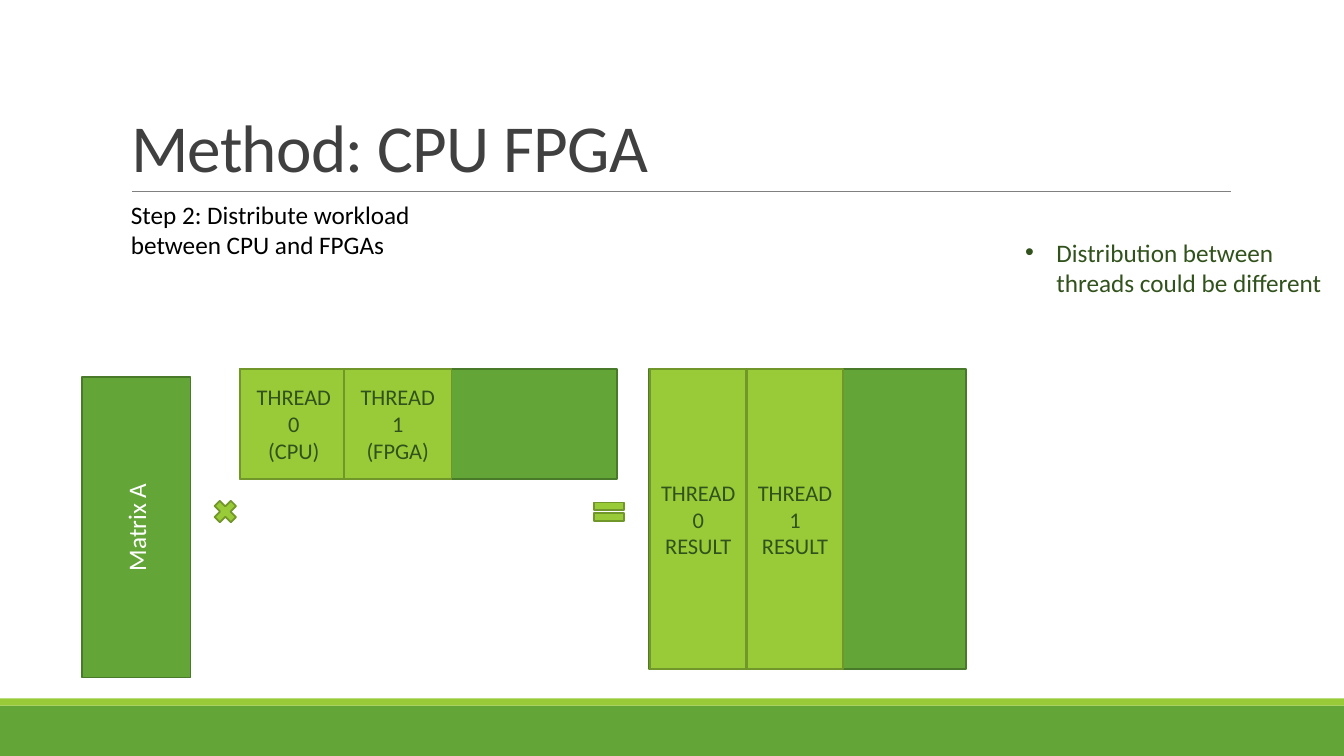
from dataclasses import dataclass

from lxml import etree
from pptx import Presentation
from pptx.dml.color import RGBColor
from pptx.enum.shapes import MSO_CONNECTOR, MSO_SHAPE
from pptx.enum.text import MSO_ANCHOR, MSO_AUTO_SIZE, PP_ALIGN
from pptx.oxml.ns import qn
from pptx.util import Inches, Pt

RECTANGLE = MSO_SHAPE.RECTANGLE
MULTIPLY = MSO_SHAPE.MATH_MULTIPLY
EQUAL = MSO_SHAPE.MATH_EQUAL
STRAIGHT = MSO_CONNECTOR.STRAIGHT
TITLE_ONLY = 5


@dataclass(frozen=True)
class Theme:
    font: str = "Calibri"
    green: str = "63A537"
    green_edge: str = "497A29"
    lime: str = "99CB38"
    lime_edge: str = "719629"
    dark_green: str = "31521C"
    title_grey: str = "404040"
    rule_grey: str = "808080"
    white: str = "FFFFFF"
    black: str = "000000"
    title_size: int = 48
    body_size: int = 18
    thread_size: int = 16
    edge_width: float = 1.25
    rule_width: float = 0.5


THEME = Theme()


def rgb(value):
    return RGBColor.from_string(value)


def style_text(frame, size, color, align=PP_ALIGN.LEFT):
    for paragraph in frame.paragraphs:
        paragraph.alignment = align
        for run in paragraph.runs:
            run.font.name = THEME.font
            run.font.size = Pt(size)
            run.font.color.rgb = rgb(color)


def add_title(slide, text):
    title = slide.shapes.title
    title.left, title.top = Inches(1.2), Inches(0.31)
    title.width, title.height = Inches(11), Inches(1.59)
    frame = title.text_frame
    frame.text = text
    frame.auto_size = MSO_AUTO_SIZE.NONE
    frame.vertical_anchor = MSO_ANCHOR.BOTTOM
    frame.paragraphs[0].line_spacing = 0.85
    style_text(frame, THEME.title_size, THEME.title_grey)
    frame.paragraphs[0].runs[0].font._element.set("spc", "-50")


def add_title_rule(slide):
    y = Inches(1.9)
    rule = slide.shapes.add_connector(STRAIGHT, Inches(1.31), y, Inches(12.21), y)
    rule.line.color.rgb = rgb(THEME.rule_grey)
    rule.line.width = Pt(THEME.rule_width)
    etree.SubElement(rule._element.spPr, qn("a:effectLst"))


def add_block(slide, kind, left, top, width, height, fill, edge=None):
    block = slide.shapes.add_shape(
        kind, Inches(left), Inches(top), Inches(width), Inches(height))
    block.shadow.inherit = False
    block.fill.solid()
    block.fill.fore_color.rgb = rgb(fill)
    if edge:
        block.line.color.rgb = rgb(edge)
        block.line.width = Pt(THEME.edge_width)
    else:
        block.line.fill.background()
    return block


def add_matrix(slide, left, top, width, height):
    return add_block(slide, RECTANGLE, left, top, width, height,
                     THEME.green, THEME.green_edge)


def label_block(block, text, size, color):
    frame = block.text_frame
    frame.text = text
    frame.word_wrap = True
    frame.vertical_anchor = MSO_ANCHOR.MIDDLE
    style_text(frame, size, color, PP_ALIGN.CENTER)


def add_threads(slide, labels, left, step, width, height):
    """Lay out one column per thread over the top left of a matrix."""
    for index, label in enumerate(labels):
        thread = add_block(slide, RECTANGLE, left + index * step, 3.66, width, height,
                           THEME.lime, THEME.lime_edge)
        label_block(thread, label, THEME.thread_size, THEME.dark_green)


def add_note(slide, text, left, top, width, height, color, bulleted=False):
    note = slide.shapes.add_textbox(
        Inches(left), Inches(top), Inches(width), Inches(height))
    frame = note.text_frame
    frame.text = text
    frame.word_wrap = not bulleted
    if bulleted:
        properties = frame.paragraphs[0]._p.get_or_add_pPr()
        properties.set("marL", str(Inches(0.31)))
        properties.set("indent", str(-Inches(0.31)))
        etree.SubElement(properties, qn("a:buFont"), typeface="Arial")
        etree.SubElement(properties, qn("a:buChar"), char="•")
    style_text(frame, THEME.body_size, color)


def main():
    prs = Presentation()
    prs.slide_width, prs.slide_height = Inches(13.33), Inches(7.5)
    slide = prs.slides.add_slide(prs.slide_layouts[TITLE_ONLY])

    add_block(slide, RECTANGLE, 0, 7, 13.33, 0.5, THEME.green)
    add_block(slide, RECTANGLE, 0, 6.93, 13.33, 0.07, THEME.lime)
    add_title_rule(slide)
    add_title(slide, "Method: CPU FPGA")

    matrix_a = add_matrix(slide, -0.14, 4.69, 2.98, 1.08)
    matrix_a.rotation = 270
    label_block(matrix_a, "Matrix A", THEME.body_size, THEME.white)

    for operator, left, width in ((MULTIPLY, 2.08, 0.31), (EQUAL, 5.84, 0.4)):
        add_block(slide, operator, left, 4.92, width, 0.31,
                  THEME.lime, THEME.lime_edge)

    add_matrix(slide, 2.38, 3.66, 3.74, 1.09)
    add_threads(slide, ("THREAD 0\v(CPU)", "THREAD 1\v(FPGA)"),
                left=2.38, step=1.03, width=1.07, height=1.09)

    add_matrix(slide, 6.44, 3.66, 3.14, 2.98)
    add_threads(slide, ("THREAD 0\vRESULT", "THREAD 1\vRESULT"),
                left=6.45, step=0.96, width=0.95, height=2.98)

    add_note(slide, "Distribution between\vthreads could be different",
             10.07, 2.3, 3.18, 1.01, THEME.dark_green, bulleted=True)
    add_note(slide, "Step 2: Distribute workload\vbetween CPU and FPGAs",
             1.2, 1.93, 3.67, 0.71, THEME.black)

    prs.save("out.pptx")


if __name__ == "__main__":
    main()
